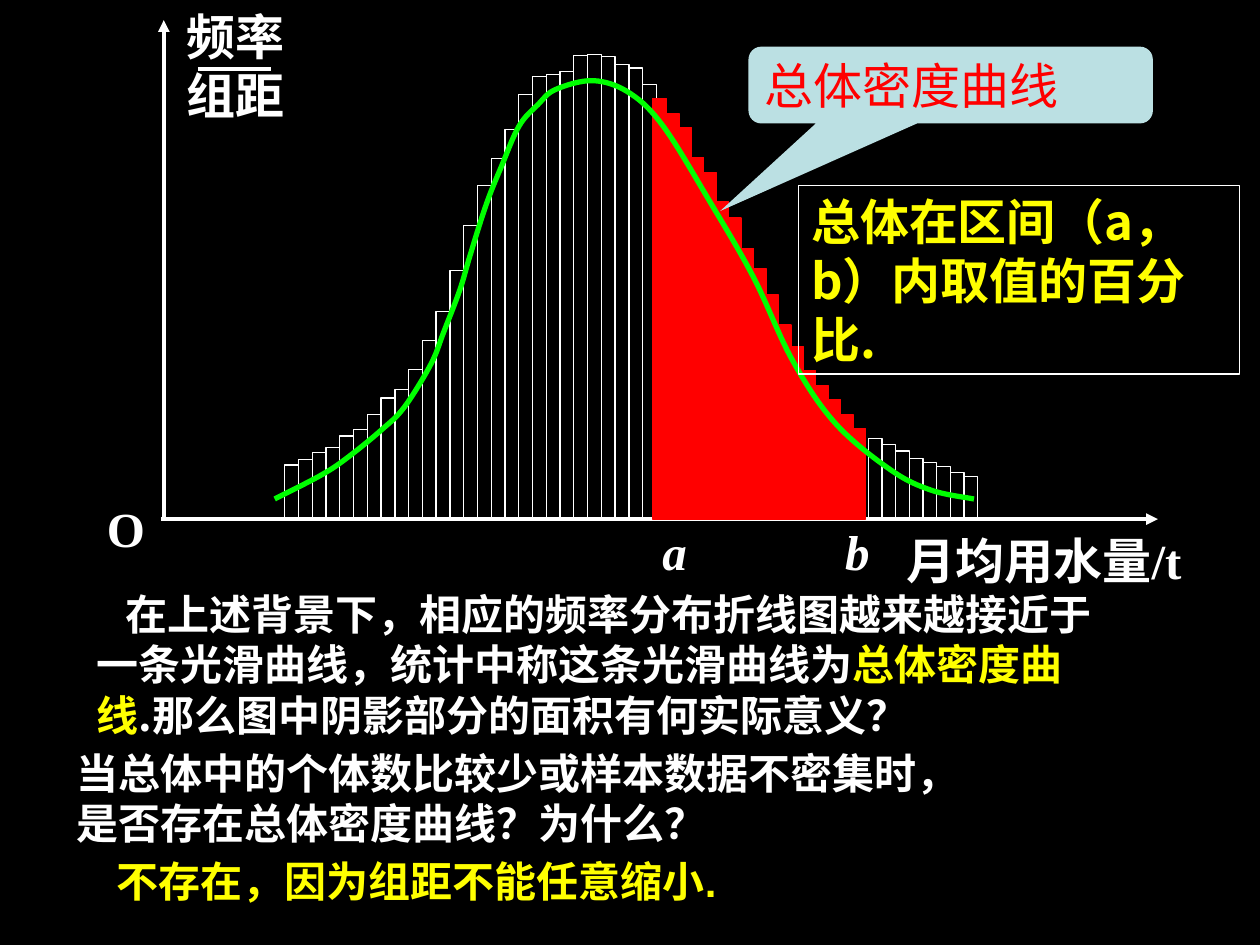
from dataclasses import dataclass

from lxml.etree import SubElement
from pptx import Presentation
from pptx.dml.color import RGBColor
from pptx.enum.shapes import MSO_CONNECTOR, MSO_SHAPE
from pptx.enum.text import MSO_ANCHOR, PP_ALIGN
from pptx.oxml.ns import qn
from pptx.shapes.base import BaseShape
from pptx.slide import Slide
from pptx.util import Inches, Pt

BLACK = RGBColor(0x00, 0x00, 0x00)
WHITE = RGBColor(0xFF, 0xFF, 0xFF)
RED = RGBColor(0xFF, 0x00, 0x00)
GREEN = RGBColor(0x00, 0xFF, 0x00)
YELLOW = RGBColor(0xFF, 0xFF, 0x00)
PALE_BLUE = RGBColor(0xBB, 0xE0, 0xE3)

SERIF = "Times New Roman"
SANS = "Arial"
CHINESE = "Noto Sans CJK SC"
BASELINE = 4.12
BAR_WIDTH = 0.11


@dataclass
class BarRun:
    first_left: float
    last_left: float
    tops: list[float]
    line: RGBColor
    filled: bool = False


@dataclass
class Span:
    text: str
    color: RGBColor = WHITE


@dataclass
class Label:
    left: float
    top: float
    width: float
    height: float
    paragraphs: list[list[Span]]
    size: int = 28
    font: str = SERIF
    bold: bool = True
    italic: bool = False
    indent: float = 0


@dataclass
class Line:
    start: tuple[float, float]
    end: tuple[float, float]
    arrow: bool = False


BAR_RUNS = [
    BarRun(2.26, 5.1, [3.69, 3.65, 3.59, 3.55, 3.46, 3.41, 3.29, 3.16, 3.09,
                       2.93, 2.7, 2.47, 2.15, 1.79, 1.47, 1.26, 1.03, 0.75,
                       0.61, 0.59, 0.57, 0.44, 0.43, 0.45, 0.51, 0.54, 0.67], WHITE),
    BarRun(5.18, 6.76, [0.78, 0.9, 1.01, 1.25, 1.37, 1.6, 1.73, 1.97, 2.13,
                        2.34, 2.58, 2.75, 2.94, 3.06, 3.17, 3.29, 3.4], RED, True),
    BarRun(6.89, 7.65, [3.48, 3.53, 3.58, 3.64, 3.67, 3.7, 3.75, 3.78], WHITE),
]

CURVE_KNOTS = [
    (2.18, 3.96), (2.55, 3.77), (2.76, 3.63), (3.03, 3.41), (3.21, 3.23),
    (3.42, 2.89), (3.52, 2.64), (3.65, 2.3), (3.73, 2.03), (3.86, 1.62),
    (3.98, 1.32), (4.12, 1), (4.27, 0.83), (4.41, 0.71), (4.71, 0.64),
    (5, 0.74), (5.27, 1.01), (5.64, 1.61), (5.98, 2.2), (6.29, 2.86),
    (6.63, 3.36), (7.07, 3.73), (7.39, 3.89), (7.73, 3.96),
]

LINES = [
    Line((1.28, BASELINE), (9.19, BASELINE), True),
    Line((1.3, BASELINE), (1.3, 0.16), True),
    Line((1.57, 0.55), (2.15, 0.55)),
]

AXIS_LABELS = [
    Label(7.1, 4.16, 2.63, 0.66, [[Span("月均用水量/t")]]),
    Label(1.38, 0, 1.17, 1.18, [[Span("频率")], [Span("组距")]]),
    Label(5.16, 4.09, 0.5, 0.68, [[Span("a")]], italic=True),
    Label(6.61, 4.09, 0.5, 0.68, [[Span("b")]], italic=True),
    Label(0.75, 3.91, 0.58, 0.98, [[Span("O")]]),
]

CALLOUT = Label(5.94, 0.37, 3.21, 0.61, [[Span("总体密度曲线", RED)]], font=SANS, bold=False)
INTERVAL = Label(6.34, 1.47, 3.5, 1.5,
                 [[Span("总体在区间（a，b）内取值的百分比.", YELLOW)]], font=CHINESE)

QUESTIONS = [
    Label(0.67, 4.62, 8.19, 1.3, [[
        Span("在上述背景下，相应的频率分布折线图越来越接近于一条光滑曲线，统计中称这条光滑曲线为"),
        Span("总体密度曲线", YELLOW),
        Span(".那么图中阴影部分的面积有何实际意义？"),
    ]], 24, CHINESE, indent=0.23),
    Label(0.51, 5.88, 7.05, 0.9, [[
        Span("当总体中的个体数比较少或样本数据不密集时，是否存在总体密度曲线？为什么？"),
    ]], 24, CHINESE),
    Label(0.83, 6.74, 5.12, 0.5, [[Span("不存在，因为组距不能任意缩小.", YELLOW)]], 24, SANS),
]


def write_text(shape: BaseShape, label: Label) -> None:
    frame = shape.text_frame
    frame.word_wrap = True
    for index, spans in enumerate(label.paragraphs):
        para = frame.add_paragraph() if index else frame.paragraphs[0]
        para.alignment = PP_ALIGN.LEFT
        if label.indent:
            para._p.get_or_add_pPr().set("indent", str(Inches(label.indent)))
        for span in spans:
            run = para.add_run()
            run.text = span.text
            run.font.size = Pt(label.size)
            run.font.name = label.font
            run.font.bold = label.bold
            run.font.italic = label.italic
            run.font.color.rgb = span.color
            SubElement(run.font._element, qn("a:ea")).set("typeface", CHINESE)


def add_label(slide: Slide, label: Label) -> None:
    box = slide.shapes.add_textbox(Inches(label.left), Inches(label.top),
                                   Inches(label.width), Inches(label.height))
    write_text(box, label)


def add_panel(slide: Slide, label: Label, preset: MSO_SHAPE) -> BaseShape:
    panel = slide.shapes.add_shape(preset, Inches(label.left), Inches(label.top),
                                   Inches(label.width), Inches(label.height))
    panel.shadow.inherit = False
    write_text(panel, label)
    return panel


def add_bars(slide: Slide, run: BarRun) -> None:
    pitch = (run.last_left - run.first_left) / (len(run.tops) - 1)
    for index, top in enumerate(run.tops):
        bar = slide.shapes.add_shape(
            MSO_SHAPE.RECTANGLE, Inches(run.first_left + index * pitch), Inches(top),
            Inches(BAR_WIDTH), Inches(BASELINE - top))
        bar.shadow.inherit = False
        if run.filled:
            bar.fill.solid()
            bar.fill.fore_color.rgb = run.line
        else:
            bar.fill.background()
        bar.line.color.rgb = run.line
        bar.line.width = Pt(0.75)


def add_line(slide: Slide, line: Line) -> None:
    connector = slide.shapes.add_connector(
        MSO_CONNECTOR.STRAIGHT, *map(Inches, line.start + line.end))
    connector.line.color.rgb = WHITE
    connector.line.width = Pt(2.25)
    if line.arrow:
        SubElement(connector.line._get_or_add_ln(), qn("a:tailEnd")).set("type", "triangle")
    SubElement(connector._element.spPr, qn("a:effectLst"))


def add_smooth_curve(slide: Slide, knots: list[tuple[float, float]]) -> None:
    points = [(Inches(x), Inches(y)) for x, y in knots]
    builder = slide.shapes.build_freeform(*points[0])
    builder.add_line_segments(points[1:], close=False)
    curve = builder.convert_to_shape()
    curve.shadow.inherit = False
    curve.fill.background()
    curve.line.color.rgb = GREEN
    curve.line.width = Pt(3)
    local = [(x - curve.left, y - curve.top) for x, y in points]
    padded = [local[0], *local, local[-1]]
    segments = list(curve._element.iter(qn("a:lnTo")))
    for segment, before, start, end, after in zip(
            segments, padded, padded[1:], padded[2:], padded[3:]):
        leaving = [s + (e - b) / 6 for b, s, e in zip(before, start, end)]
        arriving = [e - (a - s) / 6 for s, e, a in zip(start, end, after)]
        bezier = SubElement(segment.getparent(), qn("a:cubicBezTo"))
        for x, y in (leaving, arriving, end):
            point = SubElement(bezier, qn("a:pt"))
            point.set("x", str(round(x)))
            point.set("y", str(round(y)))
        segment.getparent().replace(segment, bezier)


def main() -> None:
    deck = Presentation()
    deck.slide_width, deck.slide_height = Inches(10), Inches(7.5)
    slide = deck.slides.add_slide(deck.slide_layouts[6])
    slide.background.fill.solid()
    slide.background.fill.fore_color.rgb = BLACK
    for label in AXIS_LABELS:
        add_label(slide, label)
    for line in LINES:
        add_line(slide, line)
    for run in BAR_RUNS:
        add_bars(slide, run)
    add_smooth_curve(slide, CURVE_KNOTS)
    callout = add_panel(slide, CALLOUT, MSO_SHAPE.ROUNDED_RECTANGULAR_CALLOUT)
    callout.adjustments[0], callout.adjustments[1] = -0.57, 1.64
    callout.fill.solid()
    callout.fill.fore_color.rgb = PALE_BLUE
    callout.line.fill.background()
    interval = add_panel(slide, INTERVAL, MSO_SHAPE.RECTANGLE)
    interval.text_frame.vertical_anchor = MSO_ANCHOR.TOP
    interval.fill.background()
    interval.line.color.rgb = WHITE
    interval.line.width = Pt(0.75)
    for label in QUESTIONS:
        add_label(slide, label)
    deck.save("out.pptx")


if __name__ == "__main__":
    main()
